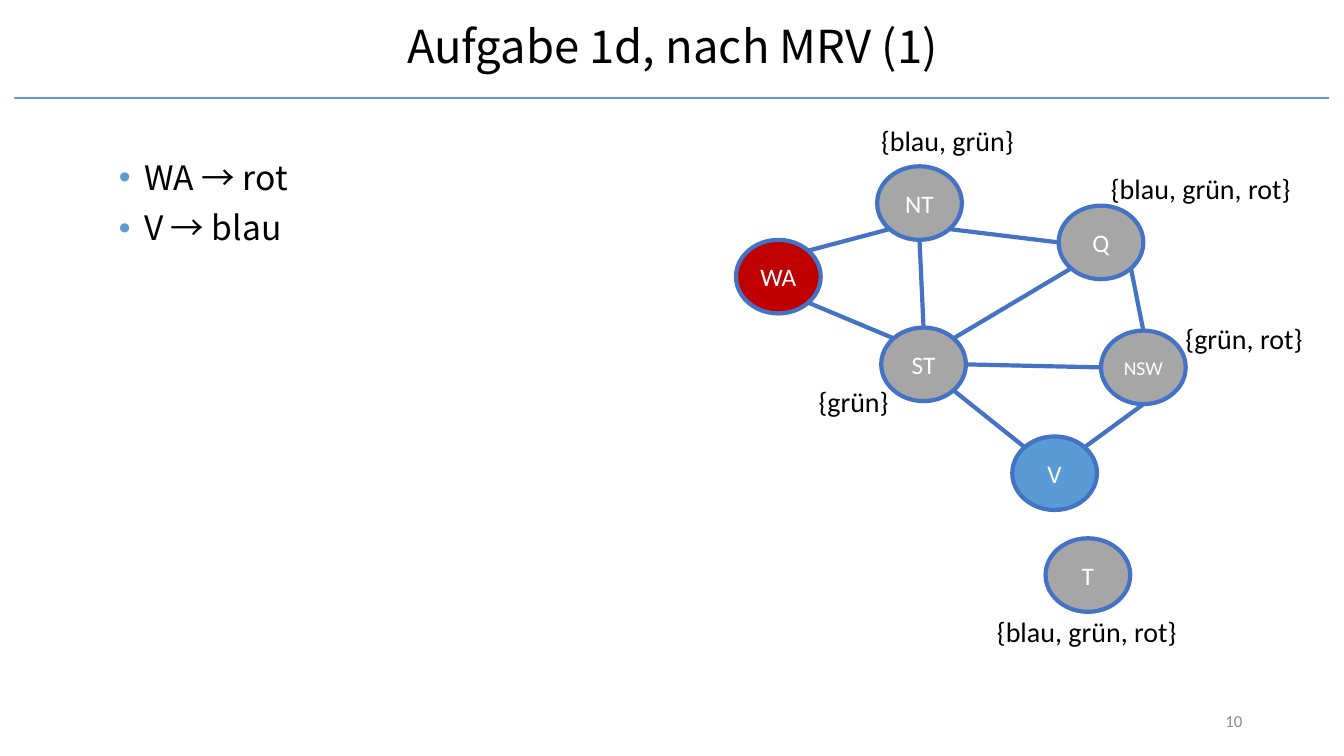
import math

import pptx
import pptx.dml.color
import pptx.enum.shapes
import pptx.enum.text
import pptx.oxml
import pptx.oxml.ns
import pptx.util
from pptx.util import Inches

ALIGN = pptx.enum.text.PP_ALIGN
ANCHOR = pptx.enum.text.MSO_ANCHOR
BODY_FONT = "Noto Sans CJK SC"
LABEL_FONT = "Calibri"
BLUE, EDGE_BLUE, GRAY, RED = "5B9BD5", "4472C4", "A6A6A6", "C00000"
NODE_WIDTH, NODE_HEIGHT = 0.84, 0.73

# Region: left, top, fill, text size
REGIONS = {
    "WA": (7.3, 2.38, RED, 18),
    "NT": (8.7, 1.65, GRAY, 18),
    "ST": (8.74, 3.25, GRAY, 18),
    "Q": (10.5, 2.04, GRAY, 18),
    "NSW": (10.92, 3.28, GRAY, 14),
    "V": (10.04, 4.33, BLUE, 18),
    "T": (10.37, 5.34, GRAY, 18),
}
# Neighbours with the angle (clockwise from the right) where each edge meets them
BORDERS = [
    ("WA", -45, "NT", 135),
    ("NT", 45, "Q", 180),
    ("ST", -90, "NT", 90),
    ("WA", 45, "ST", -135),
    ("ST", -45, "Q", 135),
    ("NSW", -90, "Q", 45),
    ("ST", 0, "NSW", 180),
    ("ST", 45, "V", -135),
    ("V", -45, "NSW", 90),
]
# Remaining colours: text, left, top, width
DOMAINS = [
    ("{grün}", 8.02, 3.77, 0.9),
    ("{blau, grün, rot}", 9.79, 6.05, 2),
    ("{grün, rot}", 11.66, 3.14, 1.37),
    ("{blau, grün, rot}", 10.92, 1.65, 2),
    ("{blau, grün}", 8.64, 1.18, 1.53),
]


def color(hex_code):
    return pptx.dml.color.RGBColor.from_string(hex_code)


def format_text(paragraph, size, font, hex_code, align=ALIGN.LEFT):
    paragraph.alignment = align
    for run in paragraph.runs:
        run.font.size = pptx.util.Pt(size)
        run.font.name = font
        run.font.color.rgb = color(hex_code)


def add_label(slide, text, box, size, hex_code="000000", align=ALIGN.LEFT,
              anchor=ANCHOR.TOP, wrap=False):
    frame = slide.shapes.add_textbox(*map(Inches, box)).text_frame
    frame.word_wrap = wrap
    frame.vertical_anchor = anchor
    frame.text = text
    format_text(frame.paragraphs[0], size, LABEL_FONT, hex_code, align)


def add_line(slide, start, end, hex_code, width):
    line = slide.shapes.add_connector(
        pptx.enum.shapes.MSO_CONNECTOR.STRAIGHT, *map(Inches, (*start, *end)))
    line.line.color.rgb = color(hex_code)
    line.line.width = pptx.util.Pt(width)
    properties = line._element.spPr
    properties.append(pptx.oxml.parse_xml(
        f"<a:effectLst {pptx.oxml.ns.nsdecls('a')}/>"))


def add_title(slide, text):
    title = slide.shapes.title
    title.left, title.top, title.width, title.height = map(
        Inches, (0.92, 0.17, 11.5, 0.63))
    frame = title.text_frame
    frame.text = text
    frame.auto_size = pptx.enum.text.MSO_AUTO_SIZE.NONE
    frame.vertical_anchor = ANCHOR.MIDDLE
    frame.paragraphs[0].line_spacing = 0.9
    format_text(frame.paragraphs[0], 32.4, BODY_FONT, "000000", ALIGN.CENTER)


def add_bullets(slide, items):
    frame = slide.shapes.add_textbox(
        *map(Inches, (1.08, 1.55, 5.35, 5.37))).text_frame
    frame.word_wrap = True
    frame.text = "\n".join(items)
    namespace = pptx.oxml.ns.nsdecls("a")
    for index, paragraph in enumerate(frame.paragraphs):
        properties = paragraph._p.get_or_add_pPr()
        properties.set("marL", str(Inches(0.25)))
        properties.set("indent", str(Inches(-0.25)))
        for bullet in (
            f'<a:buClr {namespace}><a:srgbClr val="{BLUE}"/></a:buClr>',
            f'<a:buFont {namespace} typeface="Arial"/>',
            f'<a:buChar {namespace} char="•"/>',
        ):
            properties.append(pptx.oxml.parse_xml(bullet))
        paragraph.line_spacing = 0.9
        paragraph.space_before = pptx.util.Pt(10 if index else 0)
        format_text(paragraph, 24, BODY_FONT, "000000")


def add_region(slide, name, left, top, fill, size):
    node = slide.shapes.add_shape(
        pptx.enum.shapes.MSO_SHAPE.OVAL,
        *map(Inches, (left, top, NODE_WIDTH, NODE_HEIGHT)))
    node.shadow.inherit = False
    node.fill.solid()
    node.fill.fore_color.rgb = color(fill)
    node.line.color.rgb = color(EDGE_BLUE)
    node.line.width = pptx.util.Pt(3)
    frame = node.text_frame
    frame.margin_left = frame.margin_right = 0
    frame.vertical_anchor = ANCHOR.MIDDLE
    frame.text = name
    format_text(frame.paragraphs[0], size, LABEL_FONT, "FFFFFF", ALIGN.CENTER)


def rim_point(name, angle):
    left, top = REGIONS[name][:2]
    turn = math.radians(angle)
    return (left + NODE_WIDTH / 2 * (1 + math.cos(turn)),
            top + NODE_HEIGHT / 2 * (1 + math.sin(turn)))


def main():
    presentation = pptx.Presentation()
    presentation.slide_width = Inches(13.33)
    presentation.slide_height = Inches(7.5)
    slide = presentation.slides.add_slide(presentation.slide_layouts[5])

    # Heading and page number
    add_line(slide, (0.14, 0.97), (13.18, 0.97), BLUE, 1.5)
    add_title(slide, "Aufgabe 1d, nach MRV (1)")
    add_label(slide, "10", (9.42, 6.95, 3, 0.4), 12, "8C8C8C", ALIGN.RIGHT,
              ANCHOR.MIDDLE, wrap=True)

    # Assignments so far
    add_bullets(slide, ["WA → rot", "V → blau"])

    # Constraint graph
    for name, region in REGIONS.items():
        add_region(slide, name, *region)
    for first, first_angle, second, second_angle in BORDERS:
        add_line(slide, rim_point(first, first_angle),
                 rim_point(second, second_angle), EDGE_BLUE, 3)
    for text, left, top, width in DOMAINS:
        add_label(slide, text, (left, top, width, 0.44), 20)

    presentation.save("out.pptx")


if __name__ == "__main__":
    main()
